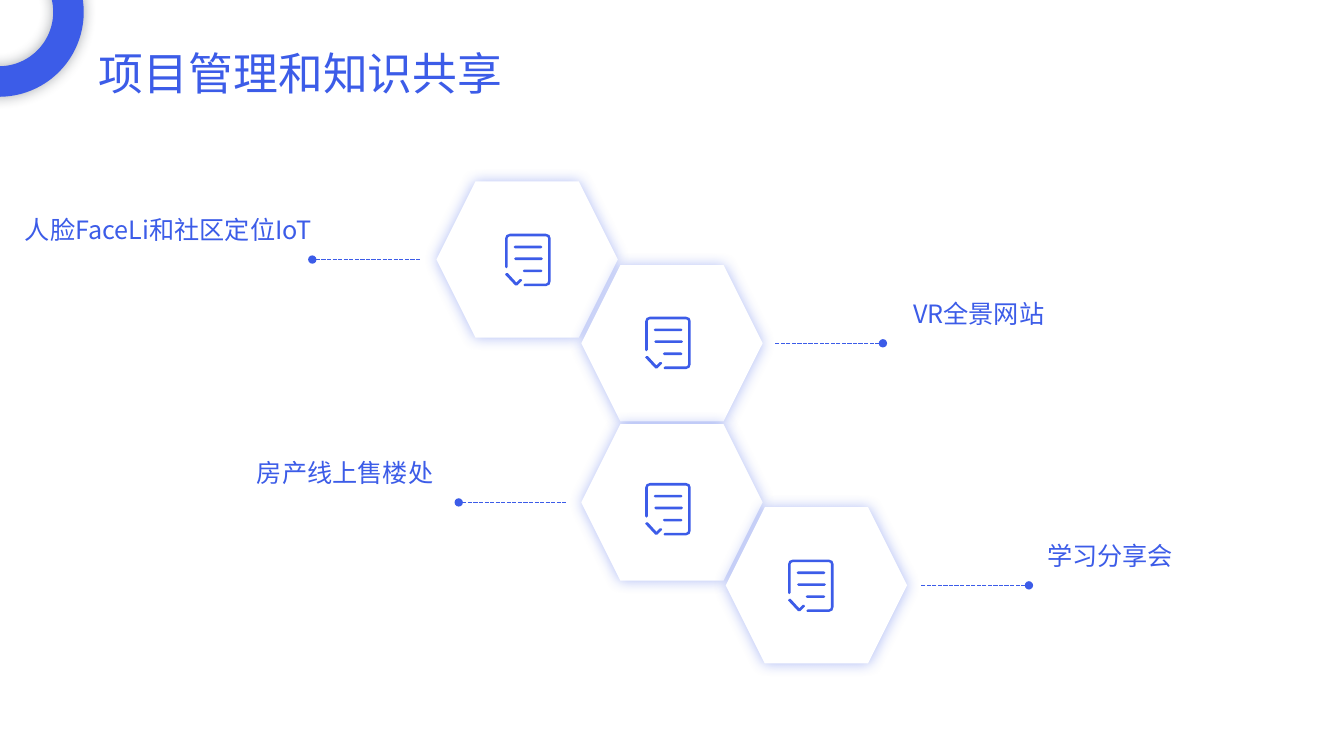
"""Build the slide on project management and knowledge sharing."""
from lxml import etree
from pptx import Presentation
from pptx.dml.color import RGBColor
from pptx.enum import dml, shapes, text
from pptx.oxml import ns
from pptx.util import Cm, Pt

BLUE = RGBColor(0x3C, 0x5C, 0xE8)
SLATE = RGBColor(0x22, 0x2A, 0x35)
WHITE = RGBColor(0xFF, 0xFF, 0xFF)
FONT = "Noto Sans CJK SC"
HEX_W, HEX_H = 4.57, 3.94
LINE_LENGTH = 2.74
LABEL_RISE = 1.26

ICON_FRAME = [
    (483, 1321), (1029, 1321), (1118, 1283), (1148, 1194), (1148, 114),
    (1118, 33), (1029, 0), (119, 0), (33, 33), (0, 114), (0, 838),
    (33, 871), (66, 838), (66, 114), (81, 81), (119, 66), (1029, 66),
    (1067, 81), (1082, 114), (1082, 1194), (1067, 1237), (1029, 1255),
    (495, 1255), (462, 1288),
]
ICON_TICK = [
    (25, 991), (66, 991), (284, 1229), (368, 1143), (411, 1143),
    (427, 1181), (305, 1300), (254, 1300), (0, 1029),
]
ICON_BARS = [(445, 940, 902), (229, 953, 597), (216, 940, 300)]
icon_outlines = [ICON_FRAME, ICON_TICK] + [
    [(left, y + 33), (left + 33, y), (right - 33, y),
     (right, y + 33), (right - 33, y + 66), (left + 33, y + 66)]
    for left, right, y in ICON_BARS
]

TOPICS = [
    ("人脸FaceLi和社区定位IoT", (11, 4.57), (12.73, 5.89), 7.87, 1, (-0.51, 8.61)),
    ("VR全景网站", (14.65, 6.68), (16.26, 7.98), 22.25, -1, (22.76, 3.94)),
    ("房产线上售楼处", (14.65, 10.69), (16.26, 12.17), 11.56, 1, (6.17, 5)),
    ("学习分享会", (18.29, 12.78), (19.86, 14.1), 25.93, -1, (26.14, 4.01)),
]


def paint(sp, fill, glow=None):
    sp.fill.solid()
    sp.fill.fore_color.rgb = fill
    sp.line.fill.background()
    sp.shadow.inherit = False
    if glow is not None:
        effects = sp.element.spPr.find(ns.qn("a:effectLst"))
        shadow = etree.SubElement(effects, ns.qn("a:outerShdw"), blurRad=str(Pt(10)),
                                  dist="0", dir="0", algn="ctr", rotWithShape="0")
        color = etree.SubElement(shadow, ns.qn("a:srgbClr"), val=str(glow))
        etree.SubElement(color, ns.qn("a:alpha"), val="40000")


def write(sp, words, size, align):
    tf = sp.text_frame
    tf.word_wrap = True
    tf.auto_size = text.MSO_AUTO_SIZE.NONE
    tf.vertical_anchor = text.MSO_ANCHOR.TOP
    p = tf.paragraphs[0]
    p.text = words
    p.alignment = align
    p.font.size = Pt(size)
    p.font.color.rgb = BLUE
    p.font.name = FONT
    props = p._p.pPr.find(ns.qn("a:defRPr"))
    etree.SubElement(props, ns.qn("a:ea"), typeface=FONT)


prs = Presentation()
prs.slide_width, prs.slide_height = Cm(33.87), Cm(19.05)
slide = prs.slides.add_slide(prs.slide_layouts[5])

title = slide.shapes.title
title.left, title.top, title.width, title.height = Cm(2.24), Cm(1.02), Cm(11.73), Cm(1.63)
write(title, "项目管理和知识共享", 32, text.PP_ALIGN.LEFT)

for words, (hex_x, hex_y), (icon_x, icon_y), dot_x, side, (label_x, label_w) in TOPICS:
    hexagon = slide.shapes.add_shape(
        shapes.MSO_SHAPE.HEXAGON, Cm(hex_x), Cm(hex_y), Cm(HEX_W), Cm(HEX_H))
    paint(hexagon, WHITE, BLUE)

    mid_y = hex_y + HEX_H / 2
    leader = slide.shapes.add_connector(
        shapes.MSO_CONNECTOR.STRAIGHT, Cm(dot_x), Cm(mid_y),
        Cm(dot_x + side * LINE_LENGTH), Cm(mid_y))
    leader.line.color.rgb = BLUE
    leader.line.width = Pt(1)
    leader.line.dash_style = dml.MSO_LINE.SQUARE_DOT
    props = leader.element.spPr
    etree.SubElement(props.find(ns.qn("a:ln")), ns.qn("a:headEnd"), type="oval")
    etree.SubElement(props, ns.qn("a:effectLst"))

    label = slide.shapes.add_textbox(
        Cm(label_x), Cm(mid_y - LABEL_RISE), Cm(label_w), Cm(1.02))
    align = text.PP_ALIGN.RIGHT if side > 0 else text.PP_ALIGN.LEFT
    write(label, words, 18, align)

    builder = slide.shapes.build_freeform(*icon_outlines[0][0], scale=Cm(1) / 1000)
    for outline in icon_outlines:
        builder.move_to(*outline[0])
        builder.add_line_segments(outline[1:], close=True)
    paint(builder.convert_to_shape(Cm(icon_x), Cm(icon_y)), BLUE)

ring = slide.shapes.add_shape(
    shapes.MSO_SHAPE.DONUT, Cm(-2.16), Cm(-1.83), Cm(4.27), Cm(4.27))
ring.adjustments[0] = 0.18
paint(ring, BLUE, SLATE)

prs.save("out.pptx")
